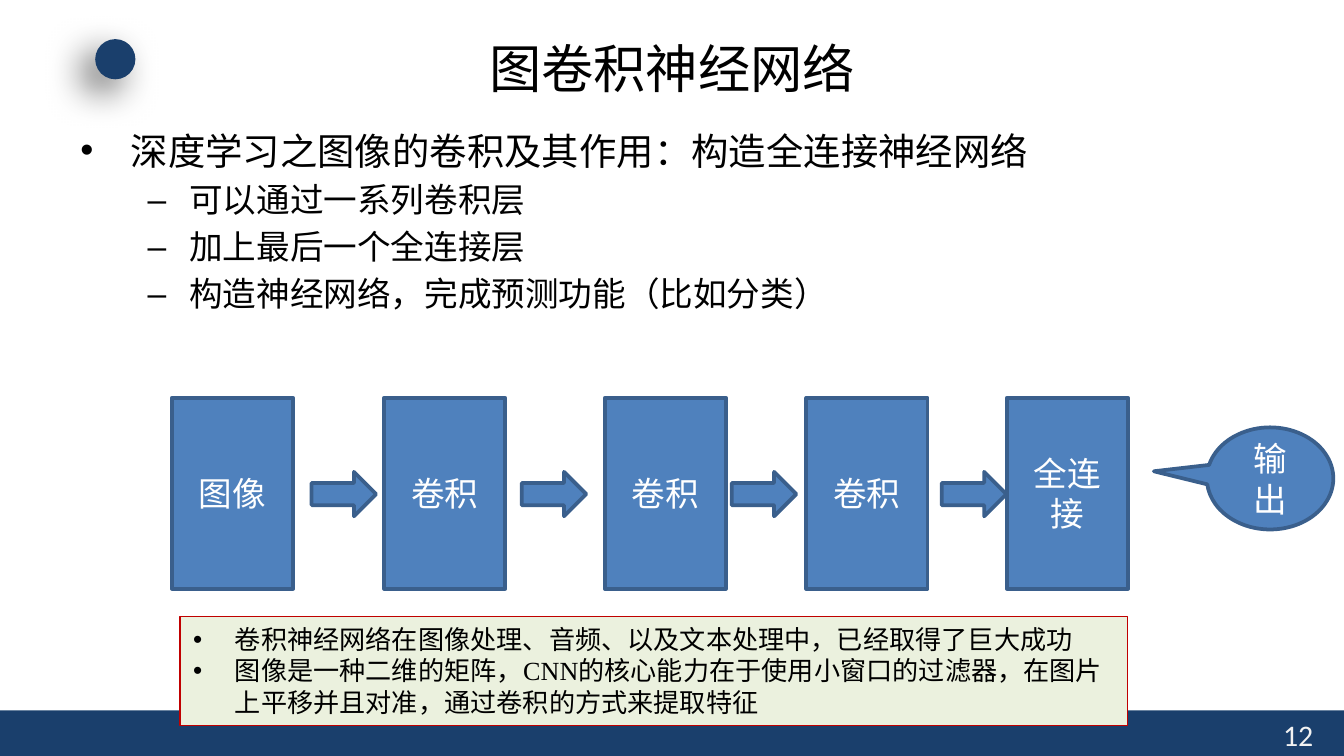
from lxml import etree
from pptx import Presentation
from pptx.dml.color import RGBColor
from pptx.enum.shapes import MSO_SHAPE as SHAPE
from pptx.enum.text import MSO_ANCHOR as ANCHOR, PP_ALIGN as ALIGN
from pptx.oxml.ns import qn
from pptx.util import Cm, Pt

NAVY = RGBColor(0x1A, 0x3F, 0x6C)
BLUE = RGBColor(0x4F, 0x81, 0xBD)
EDGE = RGBColor(0x3A, 0x5F, 0x8C)
CREAM = RGBColor(0xEB, 0xF1, 0xDE)
RED = RGBColor(0xC0, 0x00, 0x00)
WHITE = RGBColor(0xFF, 0xFF, 0xFF)
PALE = RGBColor(0xF2, 0xF2, 0xF2)
BLACK = RGBColor(0x00, 0x00, 0x00)
CJK = "Noto Sans CJK SC"


def add_run(p, text, size, color, font=CJK):
    """Append a run with Latin and East Asian fonts."""
    r = p.add_run()
    r.text = text
    r.font.size = Pt(size)
    r.font.color.rgb = color
    r.font.name = font
    etree.SubElement(r._r.get_or_add_rPr(), qn("a:ea"), typeface=CJK)
    p.line_spacing = Pt(round(size * 1.2, 1))


def set_bullet(p, char, margin, hanging):
    """Give a paragraph a bullet and a hanging indent in centimetres."""
    pPr = p._p.get_or_add_pPr()
    pPr.set("marL", str(Cm(margin)))
    pPr.set("indent", str(-Cm(hanging)))
    etree.SubElement(pPr, qn("a:buFont"), typeface="Arial")
    etree.SubElement(pPr, qn("a:buChar"), char=char)


def add_shape(s, kind, box, fill, line=None, width=2):
    """Add a flat preset shape in a box of centimetres."""
    sp = s.shapes.add_shape(kind, *map(Cm, box))
    sp.shadow.inherit = False
    sp.fill.solid()
    sp.fill.fore_color.rgb = fill
    if line is None:
        sp.line.fill.background()
    else:
        sp.line.color.rgb = line
        sp.line.width = Pt(width)
    return sp


def add_textbox(s, box):
    """Add a wrapping text box and return its text frame."""
    tf = s.shapes.add_textbox(*map(Cm, box)).text_frame
    tf.word_wrap = True
    return tf


def add_label(sp, text):
    """Centre a white label in a shape."""
    tf = sp.text_frame
    tf.word_wrap = True
    tf.vertical_anchor = ANCHOR.MIDDLE
    p = tf.paragraphs[0]
    p.alignment = ALIGN.CENTER
    add_run(p, text, 18, WHITE, "Calibri")


def add_footer(s, box, number):
    """Draw the bottom band with the page number."""
    x, y, w, h = box
    add_shape(s, SHAPE.RECTANGLE, box, NAVY)
    tf = add_textbox(s, (x + w - 1.4, y, 1.27, h))
    add_run(tf.paragraphs[0], number, 16, PALE, "Calibri")


def add_dot(s, box):
    """Draw the corner dot with a soft shadow."""
    sp = add_shape(s, SHAPE.OVAL, box, NAVY)
    effects = sp._element.spPr.find(qn("a:effectLst"))
    shadow = etree.SubElement(effects, qn("a:outerShdw"), blurRad=str(Pt(20)),
                              dist=str(Pt(10)), dir=str(135 * 60000))
    color = etree.SubElement(shadow, qn("a:srgbClr"), val=str(BLACK))
    etree.SubElement(color, qn("a:alpha"), val="60000")


def add_title(s, box, text):
    """Write the centred slide title."""
    tf = add_textbox(s, box)
    tf.vertical_anchor = ANCHOR.MIDDLE
    p = tf.paragraphs[0]
    p.alignment = ALIGN.CENTER
    add_run(p, text, 28, BLACK)


def add_body(s, box, heading, points):
    """Write the heading bullet and its sub-points."""
    tf = add_textbox(s, box)
    p = tf.paragraphs[0]
    set_bullet(p, "•", 0.95, 0.95)
    add_run(p, heading, 20, BLACK)
    for text in points:
        p = tf.add_paragraph()
        p.level = 1
        set_bullet(p, "–", 2.06, 0.79)
        p.space_before = Pt(3.6)
        add_run(p, text, 18, BLACK)


def add_pipeline(s, box, layers, output):
    """Draw the layers, the arrows between them and the output callout."""
    x, y, w, h = box
    for left, text in layers:
        sp = add_shape(s, SHAPE.RECTANGLE, (x + left, y, 2.29, h), BLUE, EDGE)
        add_label(sp, text)
    for i in range(len(layers) - 1):
        arrow = (x + 2.64 + 3.97 * i, y + 1.4, 1.22, 0.84)
        add_shape(s, SHAPE.RIGHT_ARROW, arrow, BLUE, EDGE)
    callout = (x + w - 2.39, y + 0.56, 2.39, 1.93)
    sp = add_shape(s, SHAPE.OVAL_CALLOUT, callout, BLUE, EDGE)
    sp.adjustments[0], sp.adjustments[1] = -0.92, -0.07
    add_label(sp, output)


def add_note(s, box, points):
    """Draw the framed note with its bullets."""
    sp = add_shape(s, SHAPE.RECTANGLE, box, CREAM, RED, 0.75)
    tf = sp.text_frame
    tf.word_wrap = True
    tf.vertical_anchor = ANCHOR.TOP
    for i, text in enumerate(points):
        p = tf.add_paragraph() if i else tf.paragraphs[0]
        p.alignment = ALIGN.LEFT
        set_bullet(p, "•", 0.79, 0.79)
        add_run(p, text, 14, BLACK, "Times New Roman")


def main():
    """Build the slide and save it."""
    prs = Presentation()
    prs.slide_width, prs.slide_height = Cm(25.4), Cm(14.29)
    s = prs.slides.add_slide(prs.slide_layouts[6])
    add_footer(s, (0, 13.43, 25.4, 0.86), "12")
    add_dot(s, (1.8, 0.74, 0.76, 0.76))
    add_title(s, (1.27, 0.58, 22.86, 1.4), "图卷积神经网络")
    add_body(s, (1.27, 2.29, 22.86, 10.95),
             "深度学习之图像的卷积及其作用：构造全连接神经网络",
             ["可以通过一系列卷积层", "加上最后一个全连接层",
              "构造神经网络，完成预测功能（比如分类）"])
    layers = [(0, "图像"), (4.01, "卷积"), (8.18, "卷积"),
              (11.99, "卷积"), (15.78, "全连接")]
    add_pipeline(s, (3.25, 7.52, 21.95, 3.61), layers, "输出")
    add_note(s, (3.4, 11.66, 17.91, 2.06),
             ["卷积神经网络在图像处理、音频、以及文本处理中，已经取得了巨大成功",
              "图像是一种二维的矩阵，CNN的核心能力在于使用小窗口的过滤器，"
              "在图片上平移并且对准，通过卷积的方式来提取特征"])
    prs.save("out.pptx")


if __name__ == "__main__":
    main()
